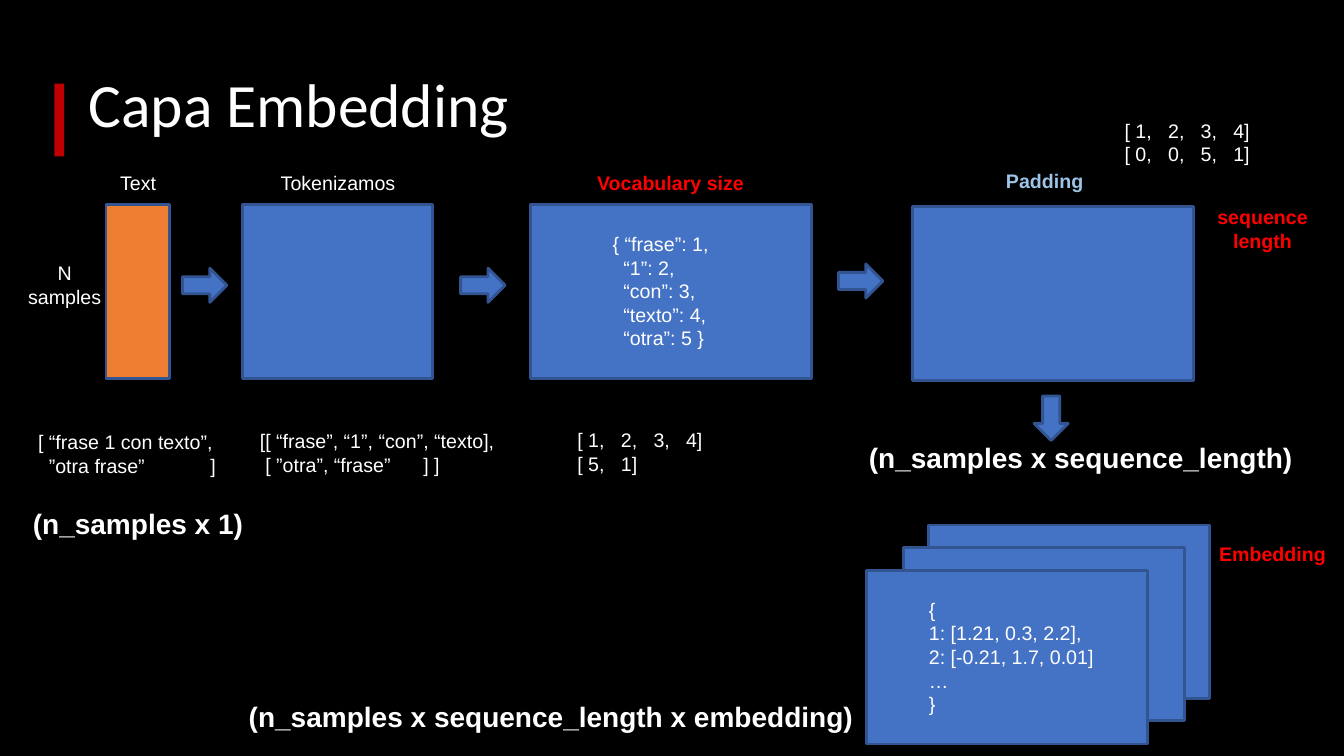
from lxml import etree
from pptx import Presentation
from pptx.dml.color import RGBColor
from pptx.enum.shapes import MSO_SHAPE as Shape
from pptx.enum.text import MSO_ANCHOR as Anchor, MSO_AUTO_SIZE as AutoSize, PP_ALIGN as Align
from pptx.oxml.ns import qn
from pptx.util import Cm, Pt

BLACK = RGBColor(0x00, 0x00, 0x00)
WHITE = RGBColor(0xFF, 0xFF, 0xFF)
RED = RGBColor(0xFF, 0x00, 0x00)
DARK_RED = RGBColor(0xC0, 0x00, 0x00)
ORANGE = RGBColor(0xED, 0x7D, 0x31)
BLUE = RGBColor(0x44, 0x72, 0xC4)
NAVY = RGBColor(0x32, 0x54, 0x91)
SKY = RGBColor(0x9D, 0xC3, 0xE6)

BLOCK_HEIGHT = 4.37
WIDE = 7.09
ARROW_SIZE = (1.12, 0.86)
INDENT = 0.27
MATRIX_STOPS = [round(1.1 + 0.82 * column, 2) for column in range(3)]

TITLE = "Capa Embedding"
BLOCKS = [
    (2.67, 5.16, 1.6, ORANGE),
    (6.12, 5.16, 4.78, BLUE),
    (13.36, 5.16, WIDE, BLUE),
    (22.99, 5.21, WIDE, BLUE),
    (23.39, 13.23, WIDE, BLUE),
    (22.76, 13.79, WIDE, BLUE),
    (21.84, 14.38, WIDE, BLUE),
]
ARROWS = [(4.6, 6.76, 0), (11.61, 6.76, 0), (21.13, 6.65, 0), (25.93, 10.11, 90)]

LABELS = [
    (["N", "samples"], 1.63, 6.45, 2.9, WHITE, False),
    (["Text"], 3.48, 4.19, 2.9, WHITE, False),
    (["Tokenizamos"], 8.52, 4.19, 5.87, WHITE, False),
    (["Vocabulary size"], 16.9, 4.19, 5.87, RED, True),
    (["Padding"], 26.33, 4.14, 5.87, SKY, True),
    (["sequence", "length"], 31.82, 5.05, 3.5, RED, True),
    (["Embedding"], 32.07, 13.54, 3.5, RED, True),
]
DIMENSIONS = [
    (["(n_samples x 1)"], 3.48, 12.65, 6.76),
    (["(n_samples x sequence_length)"], 27.24, 10.97, 13.26),
    (["(n_samples x sequence_length x embedding)"], 13.89, 17.5, 17.12),
]
LISTINGS = [
    (["[ “frase 1 con texto”,", "\t”otra frase”\t]"], 0.71, 10.72, 5.51, [INDENT, 4.34]),
    (["[[ “frase”, “1”, “con”, “texto],", " [ ”otra”, “frase”\t] ]"],
     6.3, 10.69, 6.45, [4.12]),
    (["[ 1,\t2,\t3,\t4]", "[ 5,\t1]"], 14.3, 10.67, 4.78, MATRIX_STOPS),
    (["[ 1,\t2,\t3,\t4]", "[ 0,\t0,\t5,\t1]"], 28.09, 2.87, 4.78, MATRIX_STOPS),
    (["{ “frase”: 1,", "\t“1”: 2,", "\t“con”: 3,", "\t“texto”: 4,", "\t“otra”: 5 }"],
     15.19, 5.72, 4.78, [INDENT]),
    (["{", "1: [1.21, 0.3, 2.2],", "2: [-0.21, 1.7, 0.01]", "…", "}"],
     23.16, 14.94, 4.78, []),
]


def add_block(page, kind, left, top, width, height, fill, outlined=True):
    shape = page.shapes.add_shape(kind, Cm(left), Cm(top), Cm(width), Cm(height))
    shape.shadow.inherit = False
    shape.fill.solid()
    shape.fill.fore_color.rgb = fill
    if outlined:
        shape.line.color.rgb = NAVY
        shape.line.width = Pt(2)
    else:
        shape.line.fill.background()
    return shape


def set_tab_stops(para, stops):
    properties = para._p.get_or_add_pPr()
    tab_list = etree.SubElement(properties, qn("a:tabLst"))
    for stop in stops:
        etree.SubElement(tab_list, qn("a:tab"), pos=str(int(Cm(stop))), algn="l")


def add_text(page, lines, left, top, width, height, size=14, color=WHITE,
             bold=False, align=Align.LEFT, font="Arial", stops=()):
    box = page.shapes.add_textbox(Cm(left), Cm(top), Cm(width), Cm(height))
    frame = box.text_frame
    frame.word_wrap = True
    frame.auto_size = AutoSize.SHAPE_TO_FIT_TEXT
    for index, line in enumerate(lines):
        para = frame.add_paragraph() if index else frame.paragraphs[0]
        para.alignment = align
        if stops:
            set_tab_stops(para, stops)
        span = para.add_run()
        span.text = line
        span.font.name = font
        span.font.size = Pt(size)
        span.font.bold = bold
        span.font.color.rgb = color
    return box


def text_height(lines):
    return round(0.25 + 0.6 * len(lines), 2)


def main():
    deck = Presentation()
    deck.slide_width, deck.slide_height = Cm(33.87), Cm(19.05)
    page = deck.slides.add_slide(deck.slide_layouts[6])
    page.background.fill.solid()
    page.background.fill.fore_color.rgb = BLACK

    title = add_text(page, [TITLE], 1.98, 0.86, 29.21, 3.68, size=44, font="Calibri")
    title.text_frame.auto_size = AutoSize.NONE
    title.text_frame.vertical_anchor = Anchor.MIDDLE
    title.text_frame.paragraphs[0].line_spacing = 0.9
    add_block(page, Shape.RECTANGLE, 1.37, 2.11, 0.25, 1.83, DARK_RED, outlined=False)

    for left, top, width, fill in BLOCKS:
        add_block(page, Shape.RECTANGLE, left, top, width, BLOCK_HEIGHT, fill)
    for left, top, angle in ARROWS:
        add_block(page, Shape.RIGHT_ARROW, left, top, *ARROW_SIZE, BLUE).rotation = angle

    for lines, center, top, width, color, bold in LABELS:
        add_text(page, lines, center - width / 2, top, width, text_height(lines),
                 color=color, bold=bold, align=Align.CENTER)
    for lines, center, top, width in DIMENSIONS:
        add_text(page, lines, center - width / 2, top, width, 1.12,
                 size=20, bold=True, align=Align.CENTER)
    for lines, left, top, width, stops in LISTINGS:
        add_text(page, lines, left, top, width, text_height(lines), stops=stops)

    deck.save("out.pptx")


if __name__ == "__main__":
    main()
